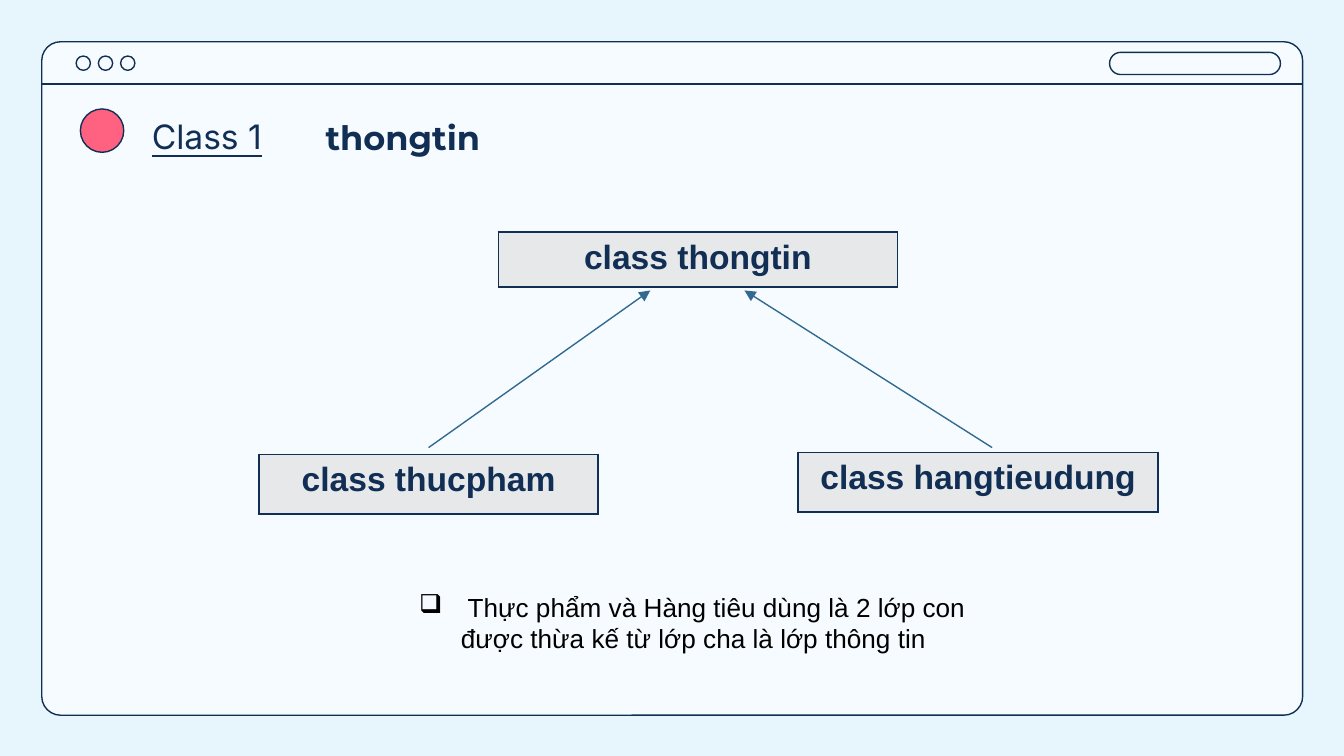
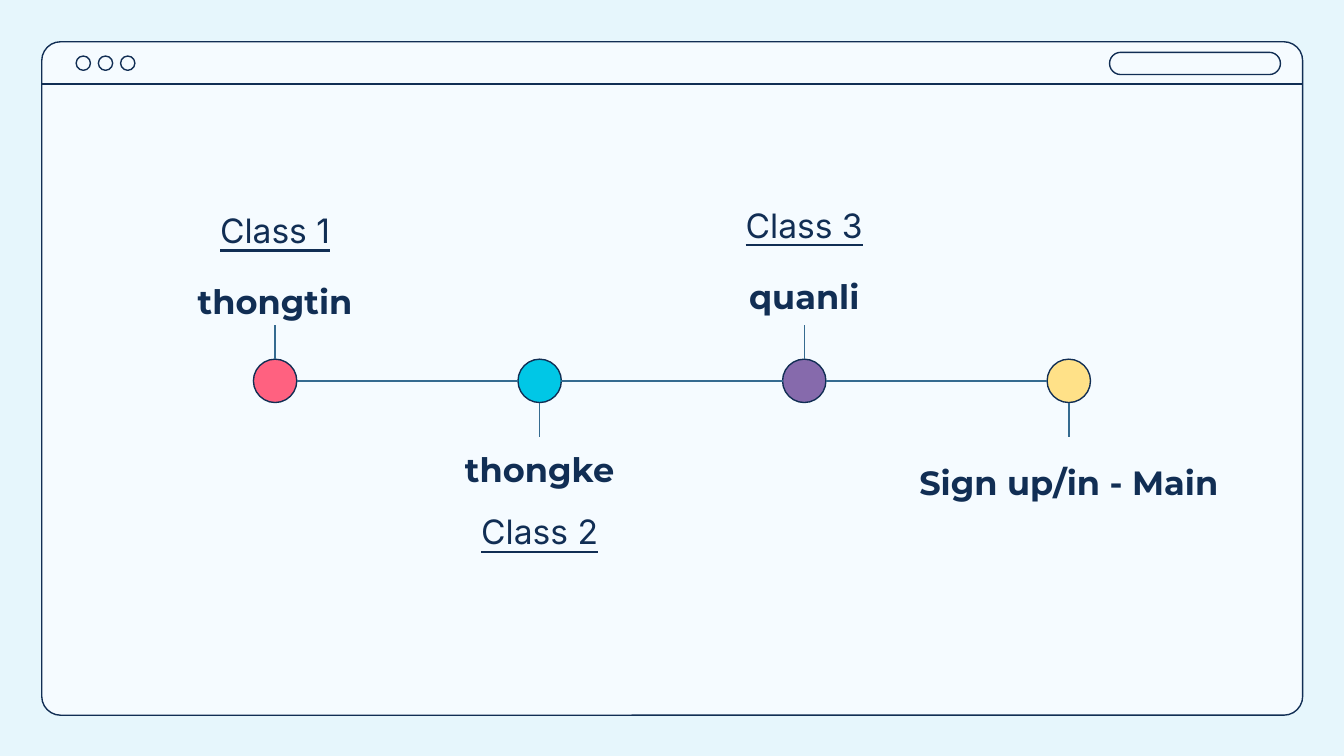
from dataclasses import dataclass

from lxml import etree
from pptx import Presentation
from pptx.dml.color import RGBColor
from pptx.enum import shapes, text
from pptx.oxml import ns
from pptx.shapes.autoshape import Shape
from pptx.shapes.connector import Connector
from pptx.slide import Slide
from pptx.util import Cm, Pt

KIND = shapes.MSO_SHAPE
TOP, BOTTOM = text.MSO_ANCHOR.TOP, text.MSO_ANCHOR.BOTTOM


@dataclass(frozen=True)
class Theme:
    sky: str = "E6F6FC"
    paper: str = "F5FBFF"
    ink: str = "112E54"
    steel: str = "356B90"
    arrow: str = "32698F"
    grey: str = "E7E8E9"
    black: str = "000000"
    pink: str = "FF6180"
    cyan: str = "00C7E6"
    violet: str = "866AAC"
    yellow: str = "FFE188"
    head: int = 18
    body: int = 14
    thin: float = 0.75
    border: int = 1


THEME = Theme()


@dataclass(frozen=True)
class Style:
    face: str
    size: int = THEME.head
    color: str = THEME.ink
    bold: bool = False
    under: bool = False


NAME = Style("Montserrat", bold=True)
CLASS = Style("Inter", under=True)
CELL = Style("Arial", bold=True)
NOTE = Style("Arial", THEME.body, THEME.black)


@dataclass(frozen=True)
class Box:
    """Left, top, width and height in centimetres."""
    x: float
    y: float
    w: float
    h: float

    def emu(self) -> tuple[Cm, Cm, Cm, Cm]:
        return Cm(self.x), Cm(self.y), Cm(self.w), Cm(self.h)


@dataclass(frozen=True)
class Node:
    label: str
    box: Box


@dataclass(frozen=True)
class Step:
    """A stop on the timeline; its name box is centred on the dot."""
    color: str
    name: str
    title: str
    top: float
    width: float
    above: bool


NODES = (
    Node("class thucpham", Box(4.9, 8.59, 6.4, 1.13)),
    Node("class hangtieudung", Box(15.08, 8.55, 6.81, 1.13)),
    Node("class thongtin", Box(9.42, 4.39, 7.54, 1.04)),
)
ARROWS = ((8.1, 12.29), (18.75, 14.07))
STEPS = (
    Step(THEME.pink, "thongtin", "Class 1", 4.95, 9.17, True),
    Step(THEME.cyan, "thongke", "Class 2", 8.23, 6.4, False),
    Step(THEME.violet, "quanli", "Class 3", 4.85, 6.4, True),
    Step(THEME.yellow, "Sign up/in - Main", "", 8.48, 7.26, False),
)
DOT = 0.82
CLASS_W, CLASS_H, NAME_H = 6.4, 1.6, 1.27


def rgb(color: str) -> RGBColor:
    return RGBColor.from_string(color)


def sub(parent, tag: str, **attrs: str):
    return etree.SubElement(parent, ns.qn(tag), attrs)


def add_run(para, words: str, style: Style) -> None:
    run = para.add_run()
    run.text = words
    font = run.font
    font.name, font.size = style.face, Pt(style.size)
    font.bold, font.underline = style.bold, style.under
    font.color.rgb = rgb(style.color)


def add_form(slide: Slide, kind: KIND, box: Box, fill: str = "") -> Shape:
    shape = slide.shapes.add_shape(kind, *box.emu())
    shape.shadow.inherit = False
    if fill:
        shape.fill.solid()
        shape.fill.fore_color.rgb = rgb(fill)
    else:
        shape.fill.background()
    shape.line.color.rgb = rgb(THEME.ink)
    shape.line.width = Pt(THEME.thin)
    return shape


def add_dot(slide: Slide, x: float, y: float, fill: str) -> None:
    """Draw a coloured dot centred on x, y."""
    add_form(slide, KIND.OVAL, Box(x - DOT / 2, y - DOT / 2, DOT, DOT), fill)


def add_line(slide: Slide, start: tuple[float, float],
             end: tuple[float, float], color: str) -> Connector:
    line = slide.shapes.add_connector(
        shapes.MSO_CONNECTOR.STRAIGHT, *map(Cm, start + end))
    line.line.color.rgb = rgb(color)
    line.line.width = Pt(THEME.thin)
    sub(line._element.spPr, "a:effectLst")
    return line


def add_label(slide: Slide, words: str, box: Box, style: Style,
              anchor: text.MSO_ANCHOR = TOP) -> None:
    frame = slide.shapes.add_textbox(*box.emu()).text_frame
    frame.word_wrap = True
    frame.vertical_anchor = anchor
    frame.margin_top = frame.margin_bottom = Cm(0.25)
    para = frame.paragraphs[0]
    para.alignment = text.PP_ALIGN.CENTER
    para.line_spacing = 1.15
    add_run(para, words, style)


def add_node(slide: Slide, node: Node) -> None:
    """Draw a class as a table of one bordered cell."""
    table = slide.shapes.add_table(1, 1, *node.box.emu()).table
    table.first_row = table.horz_banding = False
    cell = table.cell(0, 0)
    props = cell._tc.get_or_add_tcPr()
    for side in "LRTB":
        edge = sub(props, f"a:ln{side}", w=str(Pt(THEME.border)))
        sub(sub(edge, "a:solidFill"), "a:srgbClr", val=THEME.ink)
    cell.fill.solid()
    cell.fill.fore_color.rgb = rgb(THEME.grey)
    para = cell.text_frame.paragraphs[0]
    para.alignment = text.PP_ALIGN.CENTER
    add_run(para, node.label, CELL)


def add_note(slide: Slide, words: str, box: Box) -> None:
    frame = slide.shapes.add_textbox(*box.emu()).text_frame
    frame.word_wrap = True
    para = frame.paragraphs[0]
    props = para._p.get_or_add_pPr()
    props.set("marL", str(Cm(0.79)))
    props.set("indent", str(-Cm(0.79)))
    sub(sub(props, "a:buClr"), "a:srgbClr", val=THEME.black)
    sub(props, "a:buChar", char="❑")
    add_run(para, words, NOTE)


def add_page(deck) -> Slide:
    """Add a blank slide with the browser window on it."""
    slide = deck.slides.add_slide(deck.slide_layouts[6])
    pane = Box(0.79, 0.79, 23.83, 12.73)
    window = add_form(slide, KIND.ROUNDED_RECTANGLE, pane, THEME.paper)
    window.adjustments[0] = 0.028
    for i in range(3):
        add_form(slide, KIND.OVAL, Box(1.44 + 0.42 * i, 1.06, 0.27, 0.27))
    bar = add_form(slide, KIND.ROUNDED_RECTANGLE, Box(20.97, 0.99, 3.23, 0.42))
    bar.adjustments[0] = 0.5
    add_line(slide, (pane.x, 1.59), (pane.x + pane.w, 1.59), THEME.ink)
    return slide


def draw_tree(slide: Slide) -> None:
    add_label(slide, "thongtin ", Box(3.12, 1.85, 9.17, NAME_H), NAME)
    add_label(slide, "Class 1", Box(0.71, 1.6, CLASS_W, CLASS_H), CLASS, BOTTOM)
    add_dot(slide, 1.93, 2.47, THEME.pink)
    for node in NODES:
        add_node(slide, node)
    for child, parent in ARROWS:
        line = add_line(slide, (child, 8.46), (parent, 5.49), THEME.arrow)
        sub(line.line._get_or_add_ln(), "a:tailEnd", type="triangle")
    add_note(slide, " Thực phẩm và Hàng tiêu dùng là 2 lớp con "
             "được thừa kế từ lớp cha là lớp thông tin",
             Box(7.67, 11.05, 11.02, 1.45))


def draw_steps(slide: Slide) -> None:
    first, gap, axis, stalk = 5.2, 5.0, 7.2, 0.65
    half = DOT / 2
    for i, step in enumerate(STEPS):
        x = first + gap * i
        anchor = TOP if step.above else BOTTOM
        add_label(slide, step.name,
                  Box(x - step.width / 2, step.top, step.width, NAME_H),
                  NAME, anchor)
        if step.title:
            top = step.top + (-1.57 if step.above else 1.07)
            add_label(slide, step.title,
                      Box(x - CLASS_W / 2, top, CLASS_W, CLASS_H),
                      CLASS, BOTTOM if step.above else TOP)
        add_dot(slide, x, axis, step.color)
        if i:
            add_line(slide, (x - gap + half, axis), (x - half, axis),
                     THEME.steel)
        way = -1 if step.above else 1
        add_line(slide, (x, axis + way * half),
                 (x, axis + way * (half + stalk)), THEME.steel)


def main() -> None:
    deck = Presentation()
    deck.slide_width, deck.slide_height = Cm(25.4), Cm(14.29)
    back = deck.slide_master.background.fill
    back.solid()
    back.fore_color.rgb = rgb(THEME.sky)
    for draw in (draw_tree, draw_steps):
        draw(add_page(deck))
    deck.save("out.pptx")


if __name__ == "__main__":
    main()
